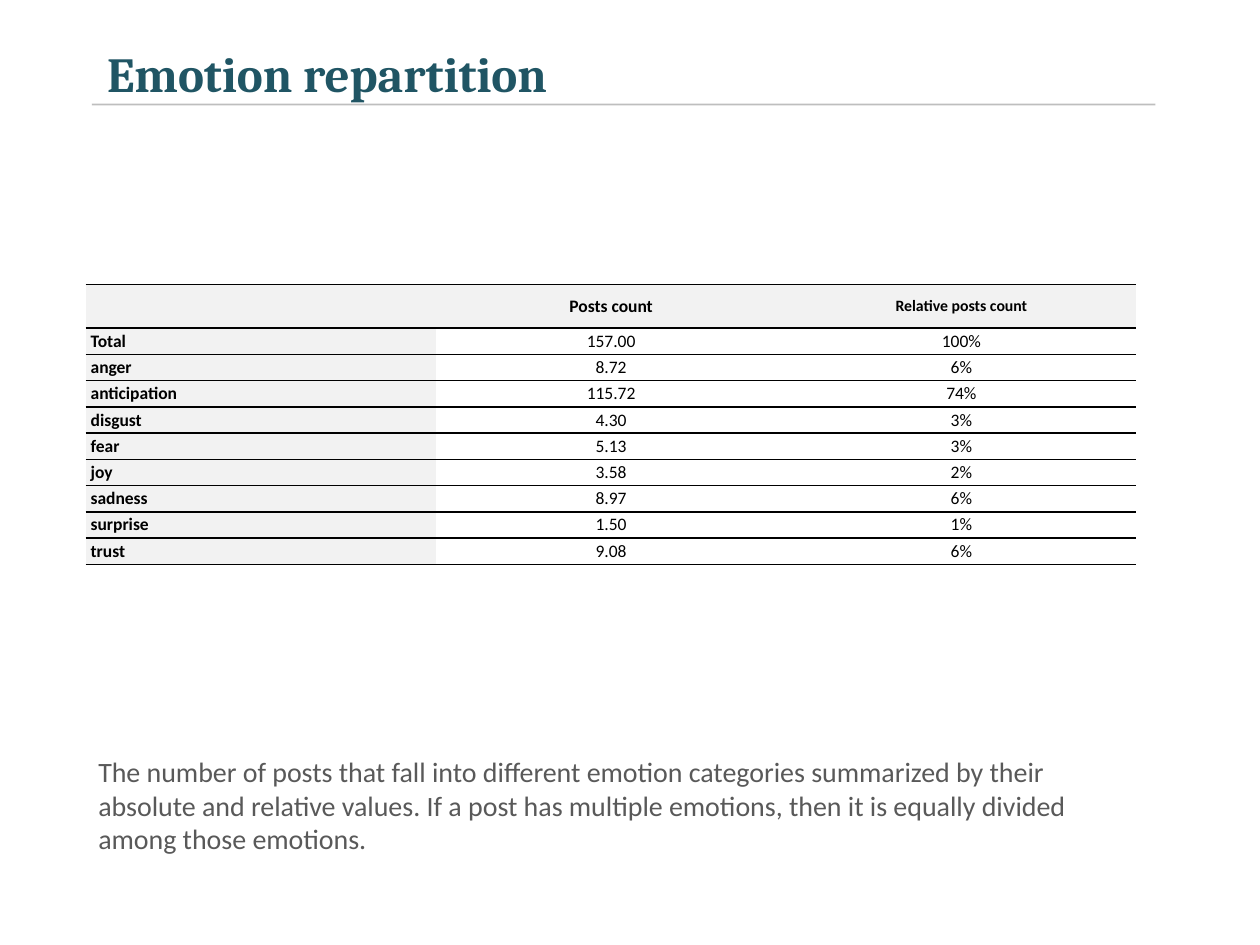
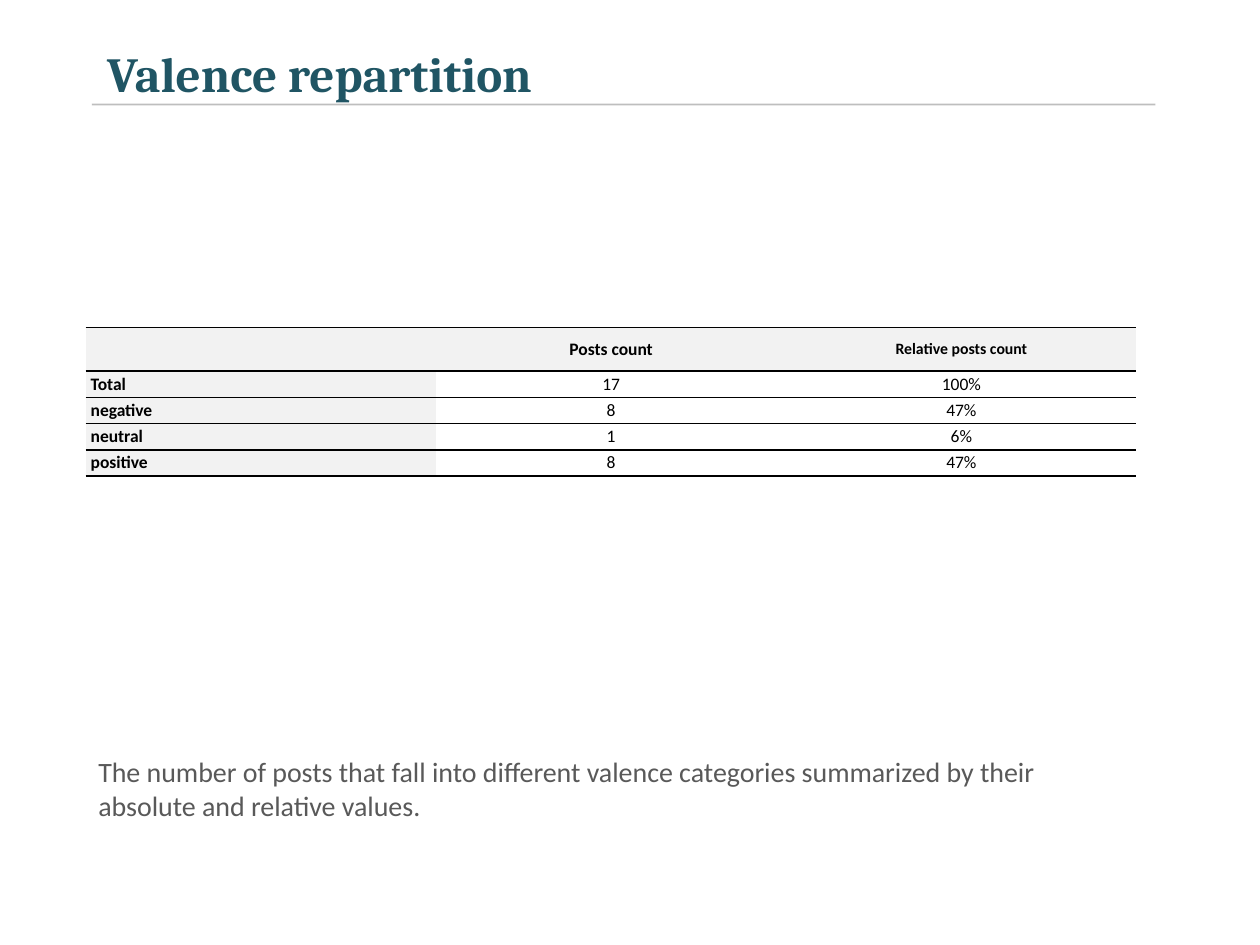
from collections import namedtuple

from lxml.etree import SubElement
from pptx import Presentation
from pptx.dml.color import RGBColor
from pptx.enum.shapes import MSO_CONNECTOR as Connector
from pptx.enum.text import MSO_ANCHOR as Anchor, MSO_AUTO_SIZE as AutoSize, PP_ALIGN as Align
from pptx.oxml import parse_xml
from pptx.oxml.ns import nsdecls, qn
from pptx.util import Inches, Pt

Box = namedtuple("Box", "left top width height")

# Grid of 100 columns by 75 rows
SLIDE_WIDTH, SLIDE_HEIGHT = Inches(10), Inches(7.5)
COLUMN, ROW = SLIDE_WIDTH / 100, SLIDE_HEIGHT / 75

TITLE_BOX = Box(7.5, 0, 83.3, 8.3)
CAPTION_BOX = Box(6.8, 59.4, 83.3, 10.4)
TABLE_LEFT, TABLE_WIDTH = 6.8, 83.4
HEADER_ROWS, ENTRY_ROWS = 3.4, 2.08

TEAL, GREY, RULE_GREY = "205564", "595959", "7F7F7F"
BLACK, WHITE, SHADE = "000000", "FFFFFF", "F2F2F2"

TITLE_FONT = {"name": "Cambria", "size": Pt(28), "bold": True}
CAPTION_FONT = {"name": "Calibri", "size": Pt(16), "bold": False}
LABEL_FONT = {"name": "Calibri", "size": Pt(10), "bold": True}
SMALL_LABEL_FONT = {**LABEL_FONT, "size": Pt(9)}
VALUE_FONT = {**LABEL_FONT, "bold": False}

HEADINGS = ["", "Posts count", "Relative posts count"]
PAGES = [
    {
        "title": "Emotion repartition",
        "table_top": 22.6,
        "entries": [
            ("Total", "157.00", "100%"),
            ("anger", "8.72", "6%"),
            ("anticipation", "115.72", "74%"),
            ("disgust", "4.30", "3%"),
            ("fear", "5.13", "3%"),
            ("joy", "3.58", "2%"),
            ("sadness", "8.97", "6%"),
            ("surprise", "1.50", "1%"),
            ("trust", "9.08", "6%"),
        ],
        "caption": "The number of posts that fall into different emotion categories "
                   "summarized by their absolute and relative values. If a post has multiple "
                   "emotions, then it is equally divided among those emotions.",
    },
    {
        "title": "Valence repartition",
        "table_top": 26,
        "entries": [
            ("Total", "17", "100%"),
            ("negative", "8", "47%"),
            ("neutral", "1", "6%"),
            ("positive", "8", "47%"),
        ],
        "caption": "The number of posts that fall into different valence categories "
                   "summarized by their absolute and relative values.",
    },
]


def rgb(value):
    return RGBColor.from_string(value)


def apply(target, formats):
    for name, value in formats.items():
        setattr(target, name, value)


def in_grid(box):
    return [round(length * unit) for length, unit in zip(box, (COLUMN, ROW) * 2)]


def write(frame, text, font, color, align=Align.LEFT):
    para = frame.paragraphs[0]
    para.text = text
    para.alignment = align
    apply(para.font, font)
    para.font.color.rgb = rgb(color)
    return para


def fill_placeholder(shape, box, text, font, color, frame_formats):
    apply(shape, dict(zip(Box._fields, in_grid(box))))
    apply(shape.text_frame, {"word_wrap": True, "auto_size": AutoSize.NONE, **frame_formats})
    para = shape.text_frame.paragraphs[0]
    properties = para._p.get_or_add_pPr()
    properties.set("marL", "0")
    properties.set("indent", "0")
    SubElement(properties, qn("a:buNone"))
    write(shape.text_frame, text, font, color).space_before = Pt(0)


def add_title(page, box, text):
    fill_placeholder(page.shapes.title, box, text, TITLE_FONT, TEAL,
                     {"vertical_anchor": Anchor.BOTTOM, "margin_bottom": Inches(0.02)})
    # Half-transparent rule along the foot of the title
    left, top, width, height = in_grid(Box(box.left - 0.2, box.top, box.width + 1.1, box.height))
    rule = page.shapes.add_connector(Connector.STRAIGHT, left, top + height,
                                     left + width, top + height)
    rule.line.width = Pt(1)
    rule.line.color.rgb = rgb(RULE_GREY)
    color = rule.line._ln.find(".//" + qn("a:srgbClr"))
    SubElement(color, qn("a:alpha"), val="49000")
    SubElement(rule._element.spPr, qn("a:effectLst"))


def set_borders(cell):
    solid = f'<a:solidFill><a:srgbClr val="{BLACK}"/></a:solidFill>'
    edges = {"lnL": "<a:noFill/>", "lnR": "<a:noFill/>", "lnT": solid, "lnB": solid}
    properties = cell._tc.get_or_add_tcPr()
    for position, (edge, paint) in enumerate(edges.items()):
        line = parse_xml(f'<a:{edge} {nsdecls("a")} w="{Pt(1)}">{paint}</a:{edge}>')
        properties.insert(position, line)


def format_cell(cell, text, row, column):
    is_label = row == 0 or column == 0
    inset = Inches(0.02)
    side = Inches(0.04) if column == 0 else 0
    apply(cell, {"vertical_anchor": Anchor.MIDDLE, "margin_top": inset, "margin_bottom": inset,
                 "margin_left": side, "margin_right": side})
    cell.fill.solid()
    cell.fill.fore_color.rgb = rgb(SHADE if is_label else WHITE)
    set_borders(cell)
    if text:
        font = LABEL_FONT if is_label else VALUE_FONT
        if (row, column) == (0, 2):
            font = SMALL_LABEL_FONT
        write(cell.text_frame, text, font, BLACK, Align.CENTER if column else Align.LEFT)


def add_counts(page, box, entries):
    lines = [HEADINGS, *entries]
    table = page.shapes.add_table(len(lines), len(HEADINGS), *in_grid(box)).table
    apply(table, {"first_row": False, "horz_banding": False})
    for row, texts in enumerate(lines):
        table.rows[row].height = round((ENTRY_ROWS if row else HEADER_ROWS) * ROW)
        for column, text in enumerate(texts):
            format_cell(table.cell(row, column), text, row, column)


def add_page(deck, content):
    page = deck.slides.add_slide(deck.slide_layouts.get_by_name("Title and Content"))
    add_title(page, TITLE_BOX, content["title"])
    table_height = HEADER_ROWS + ENTRY_ROWS * len(content["entries"])
    add_counts(page, Box(TABLE_LEFT, content["table_top"], TABLE_WIDTH, table_height),
               content["entries"])
    fill_placeholder(page.placeholders[1], CAPTION_BOX, content["caption"], CAPTION_FONT, GREY,
                     {"vertical_anchor": Anchor.TOP})


def main():
    deck = Presentation()
    apply(deck, {"slide_width": SLIDE_WIDTH, "slide_height": SLIDE_HEIGHT})
    for content in PAGES:
        add_page(deck, content)
    deck.save("out.pptx")


if __name__ == "__main__":
    main()
